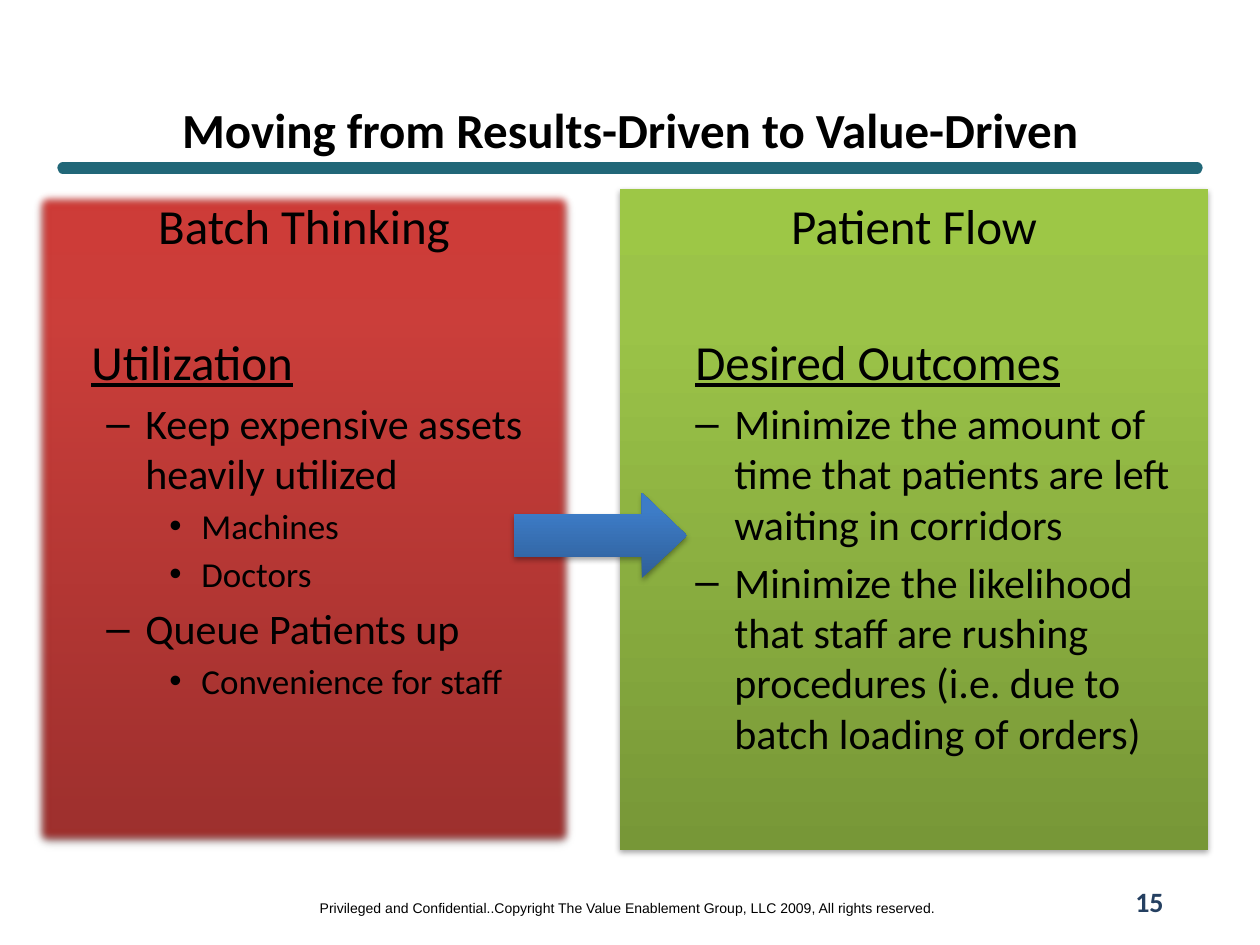
from lxml.etree import SubElement
from pptx import Presentation
from pptx.dml.color import RGBColor
from pptx.enum.shapes import MSO_CONNECTOR, MSO_SHAPE
from pptx.enum.text import MSO_ANCHOR, PP_ALIGN
from pptx.oxml.ns import qn
from pptx.util import Emu, Pt

COLORS = {"black": "000000", "rule": "216778", "number": "254061"}
RED = ("9C2F2D", "CB3E3A", "CE3B37")
GREEN = ("779737", "9BC348", "9DC746")
BLUE = ("2F5F99", "3D7CC7", "3A7CCB")
STOPS = (0, 80, 100)

TITLE = "Moving from Results-Driven to Value-Driven"
FOOTER = ("Privileged and Confidential..Copyright The Value Enablement Group, "
          "LLC 2009, All rights reserved.")
PAGE = "15"
PANELS = [
    {"box": (31, 189, 546, 661), "fill": RED, "soft": True, "topic_indent": 48,
     "lines": [
         ("heading", "Batch Thinking"),
         ("topic", "Utilization"),
         ("dash", "Keep expensive assets heavily utilized"),
         ("dot", "Machines"),
         ("dot", "Doctors"),
         ("dash", "Queue Patients up"),
         ("dot", "Convenience for staff")]},
    {"box": (620, 189, 588, 661), "fill": GREEN, "soft": False, "topic_indent": 63,
     "lines": [
         ("heading", "Patient Flow"),
         ("topic", "Desired Outcomes"),
         ("dash", "Minimize the amount of time that patients are left waiting in corridors"),
         ("dash", "Minimize the likelihood that staff are rushing procedures "
                  "(i.e. due to batch loading of orders)")]},
]
ARROW = (514, 493, 173, 85)

SIZES = {"heading": 28, "topic": 28, "dash": 24, "dot": 20}
SPACE_BEFORE = {"heading": 0, "topic": 44, "dash": 4.3, "dot": 3.6}
BULLETS = {"dash": ("–", 102, 39), "dot": ("•", 158, 32)}  # mark, margin, hang


def px(n):
    return Emu(round(n * 914400 / 126))


def style(font, size, color, bold=False, name="Calibri"):
    font.size, font.bold, font.name = Pt(size), bold, name
    font.color.rgb = RGBColor.from_string(COLORS[color])


def add_label(slide, box, text, wrap=True, **look):
    frame = slide.shapes.add_textbox(*map(px, box)).text_frame
    frame.word_wrap = wrap
    frame.vertical_anchor = MSO_ANCHOR.MIDDLE
    paragraph = frame.paragraphs[0]
    paragraph.text = text
    paragraph.alignment = PP_ALIGN.CENTER
    style(paragraph.runs[0].font, **look)


def add_glossy_shape(slide, kind, box, colors, soft=False):
    """Add a shape with an upward gradient, a low shadow and optional soft edges."""
    shape = slide.shapes.add_shape(kind, *map(px, box))
    shape.line.fill.background()
    shape.fill.gradient()
    shape.fill.gradient_angle = 90
    stops = shape._element.spPr.find(".//" + qn("a:gsLst"))
    for stop in list(stops):
        stops.remove(stop)
    for position, color in zip(STOPS, colors):
        stop = SubElement(stops, qn("a:gs"), pos=str(position * 1000))
        SubElement(stop, qn("a:srgbClr"), val=color)

    shape.shadow.inherit = False
    effects = shape._element.spPr.find(qn("a:effectLst"))
    shadow = SubElement(effects, qn("a:outerShdw"), blurRad="40000", dist="23000",
                        dir="5400000", rotWithShape="0")
    tint = SubElement(shadow, qn("a:srgbClr"), val=COLORS["black"])
    SubElement(tint, qn("a:alpha"), val="35000")
    if soft:
        SubElement(effects, qn("a:softEdge"), rad="63500")
    return shape


def set_indent(paragraph, margin, hang=0, mark=None):
    props = paragraph._p.get_or_add_pPr()
    props.set("marL", str(px(margin)))
    props.set("indent", str(-px(hang)))
    if mark:
        SubElement(props, qn("a:buFont"), typeface="Arial")
        SubElement(props, qn("a:buChar"), char=mark)


def add_panel(slide, panel):
    shape = add_glossy_shape(slide, MSO_SHAPE.RECTANGLE, panel["box"],
                             panel["fill"], panel["soft"])
    frame = shape.text_frame
    frame.word_wrap = True
    frame.vertical_anchor = MSO_ANCHOR.TOP
    for i, (role, text) in enumerate(panel["lines"]):
        paragraph = frame.add_paragraph() if i else frame.paragraphs[0]
        paragraph.text = text
        paragraph.alignment = PP_ALIGN.CENTER if role == "heading" else PP_ALIGN.LEFT
        paragraph.space_before = Pt(SPACE_BEFORE[role])
        if role in BULLETS:
            mark, margin, hang = BULLETS[role]
            paragraph.level = 1 if role == "dash" else 2
            set_indent(paragraph, margin, hang, mark)
        elif role == "topic":
            set_indent(paragraph, panel["topic_indent"])
        font = paragraph.runs[0].font
        style(font, SIZES[role], "black")
        font.underline = role == "topic"


def add_rule(slide):
    rule = slide.shapes.add_connector(MSO_CONNECTOR.STRAIGHT,
                                      px(63), px(168), px(1197), px(168))
    rule.line.width = Pt(6.5)
    rule.line.color.rgb = RGBColor.from_string(COLORS["rule"])
    rule.line._ln.set("cap", "rnd")
    SubElement(rule._element.spPr, qn("a:effectLst"))


def main():
    deck = Presentation()
    deck.slide_width, deck.slide_height = px(1260), px(945)
    slide = deck.slides.add_slide(deck.slide_layouts[6])
    add_rule(slide)
    add_label(slide, (303, 893, 650, 30), FOOTER, wrap=False,
              size=8, color="black", name="Arial")
    add_label(slide, (63, 105, 1134, 48), TITLE, size=28, color="black", bold=True)
    add_label(slide, (1102, 876, 95, 50), PAGE, size=16, color="number", bold=True)
    for panel in PANELS:
        add_panel(slide, panel)
    arrow = add_glossy_shape(slide, MSO_SHAPE.RIGHT_ARROW, ARROW, BLUE)
    arrow.adjustments[0], arrow.adjustments[1] = 0.5, 0.53
    deck.save("out.pptx")


if __name__ == "__main__":
    main()
